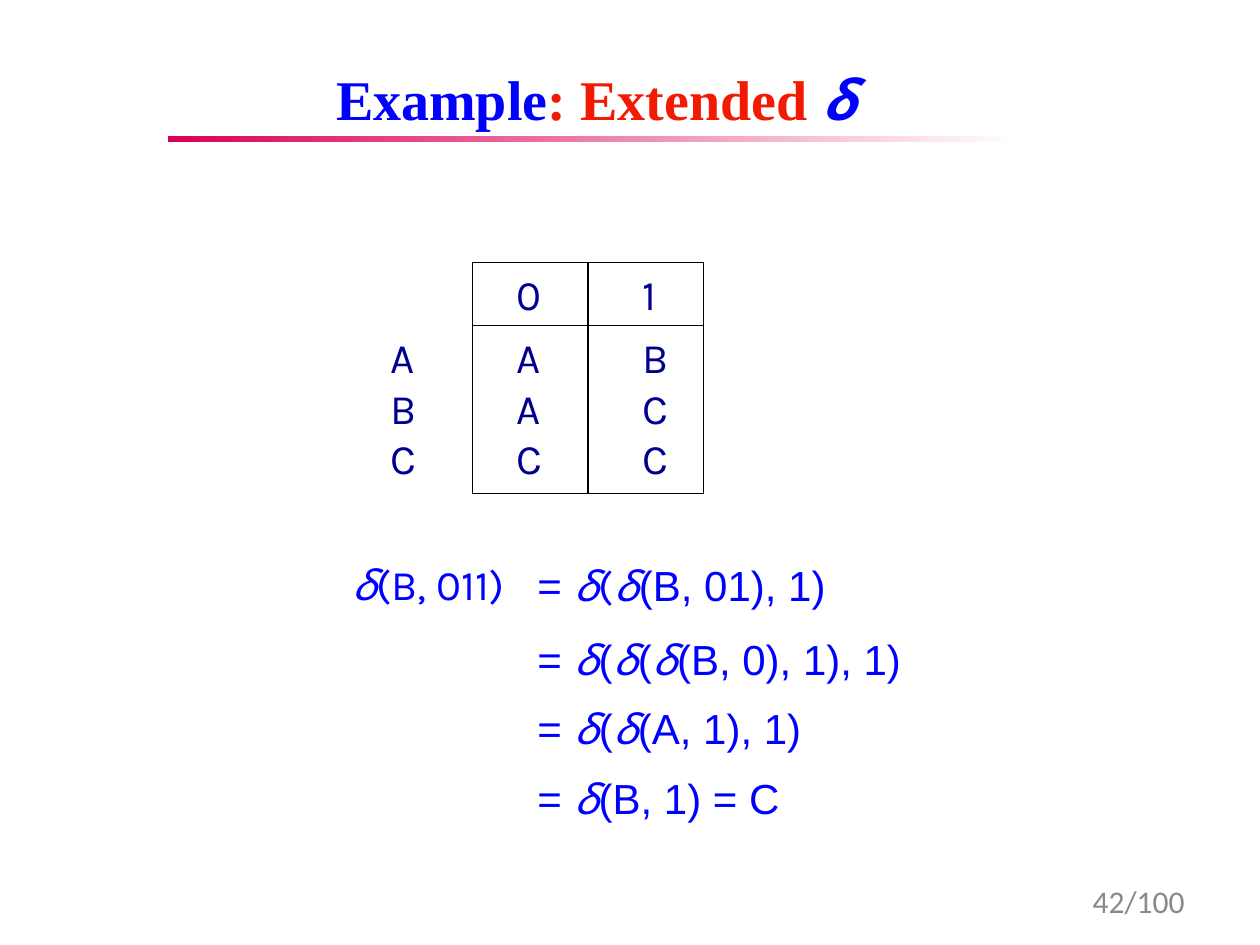
"""Build a slide that works through an extended transition function."""
from lxml.etree import SubElement
from pptx import Presentation
from pptx.dml.color import RGBColor
from pptx.enum.shapes import MSO_CONNECTOR, MSO_SHAPE
from pptx.enum.text import MSO_ANCHOR, MSO_AUTO_SIZE, PP_ALIGN
from pptx.oxml.ns import qn
from pptx.util import Inches, Pt

COLORS = {name: RGBColor.from_string(value) for name, value in {
    "blue": "0000FF", "red": "F31A03", "navy": "000090", "gray": "898989",
    "black": "000000", "pink": "DA0058", "white": "FFFFFF"}.items()}
GREEK, SANS, TABLE, SERIF = "Noto Sans Mono", "Arial", "Karla", "Times New Roman"

deck = Presentation()
deck.slide_width, deck.slide_height = Inches(10), Inches(7.5)
page = deck.slides.add_slide(deck.slide_layouts[6])
CELL = deck.slide_width / 120


def grid(*cells):
    return [round(cell * CELL) for cell in cells]


def add_text(parent, place, lines, color, size=24, align=PP_ALIGN.LEFT, wrap=False, tabs=()):
    box = parent.add_textbox(*grid(*place))
    frame = box.text_frame
    frame.word_wrap = wrap
    frame.auto_size = MSO_AUTO_SIZE.SHAPE_TO_FIT_TEXT
    for index, spans in enumerate(lines):
        para = frame.add_paragraph() if index else frame.paragraphs[0]
        para.alignment = align
        if tabs:
            tab_list = SubElement(para._p.get_or_add_pPr(), qn("a:tabLst"))
            for position in grid(*tabs):
                SubElement(tab_list, qn("a:tab"), pos=str(position), algn="l")
        para.font.size = Pt(size)
        para.font.color.rgb = COLORS[color]
        for text, font in spans:
            span = para.add_run()
            span.text = text
            span.font.name = font
            if font == GREEK:
                span.font.italic = True
    return frame


underline = page.shapes.add_shape(MSO_SHAPE.RECTANGLE, *grid(16, 12.95, 81.1, 0.6))
underline.shadow.inherit = False
underline.line.fill.background()
underline.fill.gradient()
underline.fill.gradient_angle = 0
for stop, name in zip(underline.fill.gradient_stops, ("pink", "white")):
    stop.color.rgb = COLORS[name]

title = add_text(page.shapes, (30.6, 5.9, 52.3, 7.1),
                 [[("Example", SERIF), (": Extended ", SERIF), ("δ ", GREEK)]],
                 "blue", 32, PP_ALIGN.CENTER)
title.margin_left = title.margin_right = Inches(0.05)
title.margin_top = title.margin_bottom = Inches(0.02)
title.paragraphs[0].font.bold = True
title.paragraphs[0].runs[1].font.color.rgb = COLORS["red"]

transitions = page.shapes.add_group_shape().shapes
frame_box = transitions.add_shape(MSO_SHAPE.RECTANGLE, *grid(45, 25, 22, 22))
frame_box.shadow.inherit = False
frame_box.fill.background()
rules = [transitions.add_connector(MSO_CONNECTOR.STRAIGHT, *grid(*ends))
         for ends in ((45, 31, 67, 31), (56, 25, 56, 47))]
for rule in rules:
    SubElement(rule._element.spPr, qn("a:effectLst"))
for outlined in (frame_box, *rules):
    outlined.line.color.rgb = COLORS["black"]
    outlined.line.width = Pt(0.75)
for column, symbol in ((48, "0"), (60, "1")):
    add_text(transitions, (column, 25, 4.5, 6), [[(symbol, TABLE)]], "navy")
states = ("A\tA\tB", "B\tA\tC", "C\tC\tC")
add_text(transitions, (36, 31, 29, 15.7), [[(row, TABLE)] for row in states],
         "navy", tabs=(12, 24))

add_text(page.shapes, (32.3, 52.6, 20.6, 6),
         [[("δ", GREEK), ("(B, 011)", TABLE)]], "blue")
steps = (
    (52.7, 31.3, [TABLE], "(B, 01), 1)"),
    (59.7, 38.4, [SANS, SANS], "(B, 0), 1), 1)"),
    (66.3, 35.4, [SANS], "(A, 1), 1)"),
    (73, 25.7, [], "(B, 1) = C"),
)
for top, width, bracket_fonts, ending in steps:
    spans = [("= ", SANS)]
    for font in bracket_fonts:
        spans += [("δ", GREEK), ("(", font)]
    spans += [("δ", GREEK), (ending, SANS)]
    add_text(page.shapes, (50, top, width, 6), [spans], "blue", wrap=top == 66.3)

number = add_text(page.shapes, (86, 83.4, 28, 4.8), [[("42/100", "Calibri")]],
                  "gray", 18, PP_ALIGN.RIGHT, True)
number.vertical_anchor = MSO_ANCHOR.MIDDLE

deck.save("out.pptx")
